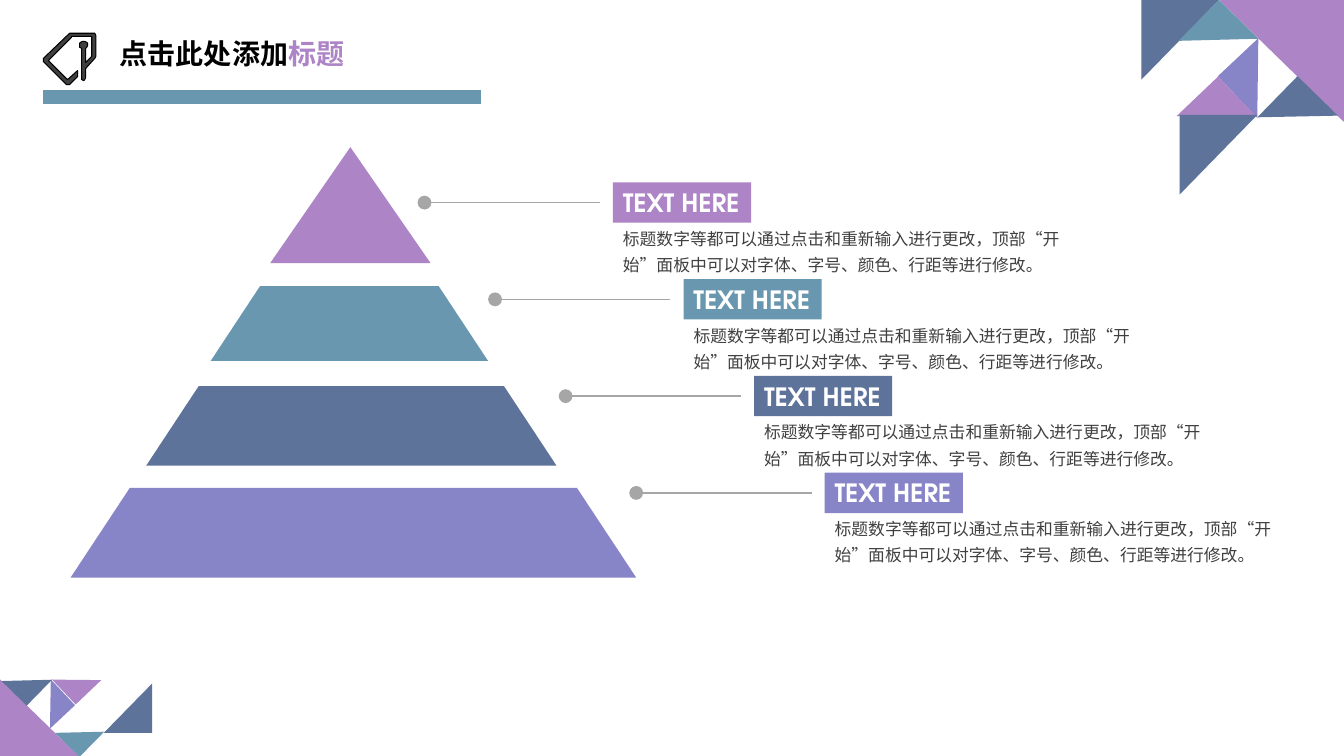
from dataclasses import dataclass

from lxml import etree
from pptx import Presentation
from pptx.dml.color import RGBColor
from pptx.enum.lang import MSO_LANGUAGE_ID
from pptx.enum.shapes import MSO_CONNECTOR, MSO_SHAPE
from pptx.enum.text import MSO_ANCHOR, MSO_AUTO_SIZE, PP_ALIGN
from pptx.oxml.ns import qn
from pptx.util import Inches, Pt

TRIANGLE = MSO_SHAPE.ISOSCELES_TRIANGLE
TRAPEZOID = MSO_SHAPE.TRAPEZOID
RECTANGLE = MSO_SHAPE.RECTANGLE
STRAIGHT = MSO_CONNECTOR.STRAIGHT
LEFT = PP_ALIGN.LEFT
TOP, MIDDLE = MSO_ANCHOR.TOP, MSO_ANCHOR.MIDDLE
FIT_SHAPE, NO_FIT = MSO_AUTO_SIZE.SHAPE_TO_FIT_TEXT, MSO_AUTO_SIZE.NONE
CHINESE, ENGLISH = MSO_LANGUAGE_ID.SIMPLIFIED_CHINESE, MSO_LANGUAGE_ID.ENGLISH_US


@dataclass(frozen=True)
class Theme:
    purple: str = "AD84C6"
    teal: str = "6997AF"
    navy: str = "5D739A"
    violet: str = "8784C7"
    black: str = "000000"
    white: str = "FFFFFF"
    dark: str = "404040"
    grey: str = "A6A6A6"
    font: str = "TeX Gyre Adventor"
    title_size: int = 20
    label_size: int = 18
    body_size: int = 12


THEME = Theme()


@dataclass(frozen=True)
class Block:
    left: float
    top: float
    width: float
    height: float
    color: str
    rotation: float = 0
    kind: int = TRIANGLE
    adjustment: float = 1


CORNER_TRIANGLES = [
    # bottom left
    Block(0.01, 6.73, 0.76, 0.78, THEME.purple, 90),
    Block(0.62, 7.09, 0.34, 0.35, THEME.teal, 44.5),
    Block(0.33, 6.81, 0.34, 0.35, THEME.violet, 316.8),
    Block(0.09, 6.57, 0.35, 0.36, THEME.navy, 44.3),
    Block(0.59, 6.57, 0.34, 0.35, THEME.purple, 46.4),
    Block(1.03, 6.78, 0.48, 0.49, THEME.navy),
    # top right
    Block(12.1, -0.02, 1.22, 1.25, THEME.purple, 270),
    Block(11.32, 0, 0.77, 0.79, THEME.navy, 180),
    Block(11.81, 0.11, 0.55, 0.57, THEME.teal, 224.5),
    Block(12.2, 0.49, 0.55, 0.57, THEME.violet, 136.8),
    Block(12.59, 0.87, 0.56, 0.57, THEME.navy, 224.3),
    Block(11.79, 0.87, 0.55, 0.57, THEME.purple, 226.4),
    Block(11.7, 1.14, 0.77, 0.79, THEME.navy, 180),
]
SLOPE = 0.66
PYRAMID = [
    Block(2.68, 1.46, 1.59, 1.15, THEME.purple, adjustment=0.5),
    Block(2.09, 2.84, 2.75, 0.74, THEME.teal, kind=TRAPEZOID, adjustment=SLOPE),
    Block(1.45, 3.83, 4.07, 0.79, THEME.navy, kind=TRAPEZOID, adjustment=SLOPE),
    Block(0.7, 4.84, 5.61, 0.89, THEME.violet, kind=TRAPEZOID, adjustment=SLOPE),
]
STEP_RIGHT, STEP_DOWN = 0.7, 0.96
BODY = "标题数字等都可以通过点击和重新输入进行更改，顶部“开始”面板中可以对字体、字号、颜色、行距等进行修改。"
# Outline of the tag icon, in hundredths of an inch
TAG_OUTLINE = [
    (93, 33), (71, 33), (69, 33), (68, 34), (43, 58), (43, 61), (66, 84), (67, 84),
    (69, 84), (77, 76), (77, 70), (67, 79), (48, 60), (71, 37), (71, 36), (91, 36),
    (91, 56), (90, 57), (85, 62), (85, 48), (86, 47), (87, 45), (87, 43), (86, 42),
    (84, 41), (82, 41), (80, 42), (79, 43), (79, 45), (79, 47), (81, 48), (81, 77),
    (81, 79), (83, 80), (84, 79), (85, 77), (85, 68), (93, 59), (94, 58), (95, 56),
    (95, 35), (94, 33),
]


def rgb(color: str) -> RGBColor:
    return RGBColor.from_string(color)


def add_block(slide, block: Block):
    shape = slide.shapes.add_shape(block.kind, Inches(block.left), Inches(block.top),
                                   Inches(block.width), Inches(block.height))
    if block.kind != RECTANGLE:
        shape.adjustments[0] = block.adjustment
    shape.rotation = block.rotation
    shape.shadow.inherit = False
    shape.fill.solid()
    shape.fill.fore_color.rgb = rgb(block.color)
    shape.line.fill.background()
    return shape


def add_text_box(slide, left: float, top: float, width: float, height: float):
    return slide.shapes.add_textbox(Inches(left), Inches(top), Inches(width), Inches(height))


def write_text(shape, runs: list[tuple[str, str]], *, size: float, bold: bool = False,
               wrap: bool = True, auto_size=FIT_SHAPE, anchor=TOP, language=CHINESE,
               line_spacing: float = 1.0, space_before: float = 0) -> None:
    """Write one paragraph from (text, color) runs."""
    frame = shape.text_frame
    frame.word_wrap = wrap
    frame.auto_size = auto_size
    frame.vertical_anchor = anchor
    paragraph = frame.paragraphs[0]
    paragraph.alignment = LEFT
    paragraph.line_spacing = line_spacing
    paragraph.space_before = Pt(space_before)
    for text, color in runs:
        run = paragraph.add_run()
        run.text = text
        run.font.name = THEME.font
        run.font.size = Pt(size)
        run.font.bold = bold
        run.font.language_id = language
        run.font.color.rgb = rgb(color)


def add_line(slide, left: float, right: float, y: float, color: str, width: float,
             dot: bool = False) -> None:
    """Draw a level line, with a round dot at its left end if asked."""
    line = slide.shapes.add_connector(STRAIGHT, Inches(left), Inches(y), Inches(right), Inches(y))
    line.line.color.rgb = rgb(color)
    line.line.width = Pt(width)
    if dot:
        etree.SubElement(line.line._get_or_add_ln(), qn("a:headEnd"),
                         type="oval", w="lg", len="lg")
    etree.SubElement(line._element.spPr, qn("a:effectLst"))


def add_tag_icon(slide) -> None:
    builder = slide.shapes.build_freeform(*TAG_OUTLINE[0], scale=Inches(0.01))
    builder.add_line_segments(TAG_OUTLINE[1:], close=True)
    icon = builder.convert_to_shape()
    icon.shadow.inherit = False
    icon.fill.solid()
    icon.fill.fore_color.rgb = rgb(THEME.dark)
    icon.line.color.rgb = rgb(THEME.black)
    icon.line.width = Pt(0.75)


def add_callout(slide, index: int, color: str) -> None:
    right, down = index * STEP_RIGHT, index * STEP_DOWN
    add_line(slide, 4.21 + right, 5.95 + right, 2.01 + down, THEME.grey, 1, dot=True)
    label = add_block(slide, Block(6.08 + right, 1.81 + down, 1.37, 0.4, color, kind=RECTANGLE))
    write_text(label, [("TEXT HERE", THEME.white)], size=THEME.label_size, bold=True,
               wrap=False, anchor=MIDDLE, language=ENGLISH)
    body = add_text_box(slide, 6.08 + right, 2.16 + down, 4.59, 0.6)
    write_text(body, [(BODY, THEME.dark)], size=THEME.body_size, line_spacing=1.3)


def main() -> None:
    presentation = Presentation()
    presentation.slide_width, presentation.slide_height = Inches(13.33), Inches(7.5)
    slide = presentation.slides.add_slide(presentation.slide_layouts[6])
    add_tag_icon(slide)
    add_line(slide, 0.43, 4.77, 0.96, THEME.teal, 10)
    for triangle in CORNER_TRIANGLES:
        add_block(slide, triangle)
    title = add_text_box(slide, 1.09, 0.26, 4.88, 0.58)
    write_text(title, [("点击此处添加", THEME.black), ("标题", THEME.purple)],
               size=THEME.title_size, bold=True, auto_size=NO_FIT, anchor=MIDDLE,
               line_spacing=0.9, space_before=10)
    for layer in PYRAMID:
        add_block(slide, layer)
    for index, layer in enumerate(PYRAMID):
        add_callout(slide, index, layer.color)
    presentation.save("out.pptx")


if __name__ == "__main__":
    main()
